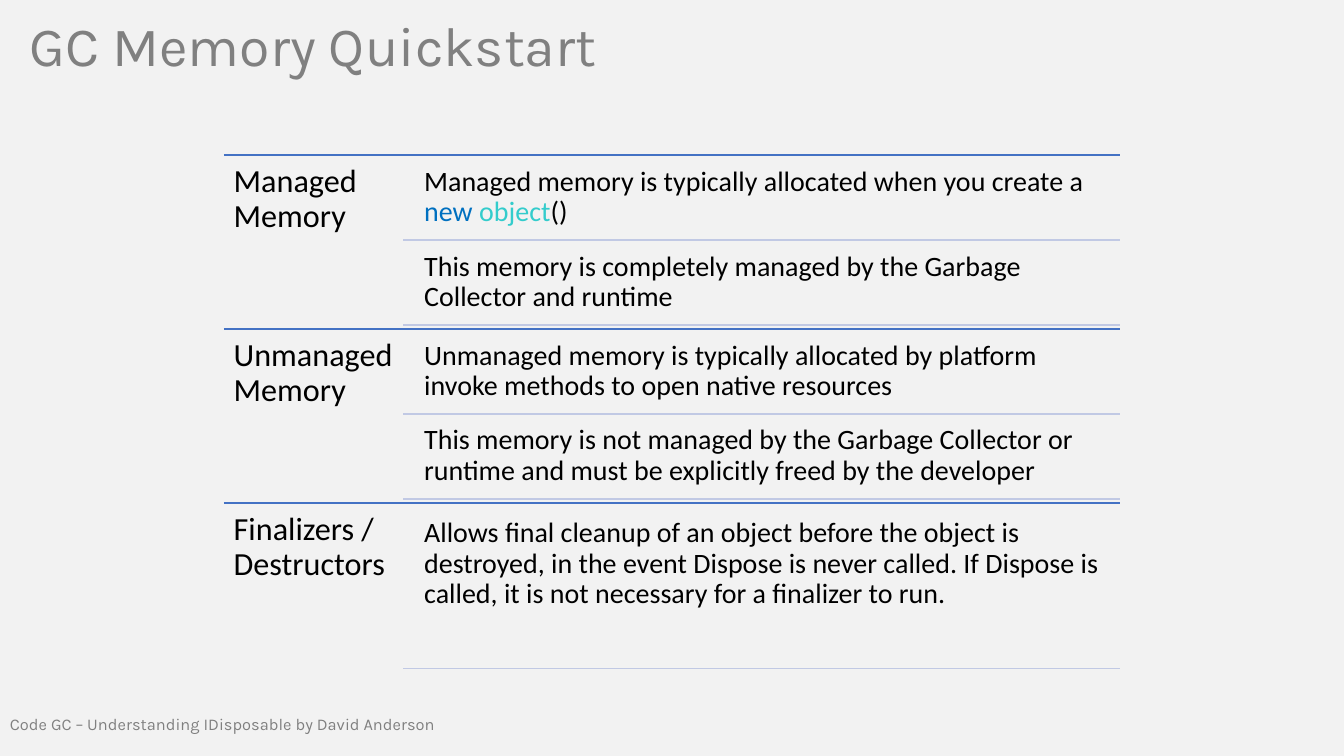
"""Build the garbage collector memory slide."""
from dataclasses import dataclass

from lxml import etree
from pptx import Presentation
from pptx.dml.color import RGBColor
from pptx.enum.shapes import MSO_CONNECTOR
from pptx.enum.text import MSO_ANCHOR, MSO_AUTO_SIZE, PP_ALIGN
from pptx.oxml.ns import qn
from pptx.slide import Slide
from pptx.text.text import TextFrame
from pptx.util import Cm, Pt

STRAIGHT = MSO_CONNECTOR.STRAIGHT
MIDDLE, TOP = MSO_ANCHOR.MIDDLE, MSO_ANCHOR.TOP
LEFT = PP_ALIGN.LEFT
FIXED = MSO_AUTO_SIZE.NONE

COLORS = {
    "back": "F2F2F2",
    "gray": "808080",
    "text": "000000",
    "rule": "4472C4",
    "thin": "C1C9E4",
    "key": "0070C0",
    "type": "33CCCC",
}
START, SPLIT, END = 5.64, 10.16, 28.22
INDENT = 10.49
FIRST, PITCH = 3.91, 4.38
GAP = 0.2


@dataclass
class Span:
    """A piece of text in one colour."""
    text: str
    color: str = "text"


@dataclass
class Style:
    """The look of a text frame."""
    font: str
    size: float
    color: str
    inset: float
    anchor: MSO_ANCHOR = TOP


@dataclass
class Section:
    """A heading with its rows of spans."""
    head: str
    rows: list[list[Span]]


TITLE = Style("Karla", 39.6, "gray", 0.25, MIDDLE)
FOOT = Style("Karla", 11.7, "gray", 0.25, MIDDLE)
HEAD = Style("Calibri", 23, "text", 0.25)
BODY = Style("Calibri", 20, "text", 0.2)

SECTIONS = [
    Section("Managed Memory", [
        [Span("Managed memory is typically allocated when you create a "),
         Span("new ", "key"), Span("object", "type"), Span("()")],
        [Span("This memory is completely managed by the Garbage Collector "
              "and runtime")],
    ]),
    Section("Unmanaged Memory", [
        [Span("Unmanaged memory is typically allocated by platform invoke "
              "methods to open native resources")],
        [Span("This memory is not managed by the Garbage Collector or "
              "runtime and must be explicitly freed by the developer")],
    ]),
    Section("Finalizers / Destructors", [
        [Span("Allows final cleanup of an object before the object is "
              "destroyed, in the event Dispose is never called. If Dispose "
              "is called, it is not necessary for a finalizer to run.")],
    ]),
]


def paint(name: str) -> RGBColor:
    """Return a named colour."""
    return RGBColor.from_string(COLORS[name])


def write(frame: TextFrame, spans: list[Span], style: Style) -> None:
    """Fill a frame with one styled paragraph."""
    frame.word_wrap = True
    frame.auto_size = FIXED
    frame.vertical_anchor = style.anchor
    frame.margin_left = frame.margin_right = Cm(style.inset)
    frame.margin_top = frame.margin_bottom = Cm(style.inset)
    para = frame.paragraphs[0]
    para.alignment = LEFT
    para.line_spacing = 0.9
    para.font.name = style.font
    para.font.size = Pt(style.size)
    para.font.color.rgb = paint(style.color)
    for span in spans:
        run = para.add_run()
        run.text = span.text
        if span.color != style.color:
            run.font.color.rgb = paint(span.color)


def label(slide: Slide, left: float, top: float, width: float,
          height: float, spans: list[Span], style: Style) -> None:
    """Add a text box, measured in centimetres."""
    box = slide.shapes.add_textbox(Cm(left), Cm(top), Cm(width), Cm(height))
    write(box.text_frame, spans, style)


def rule(slide: Slide, left: float, top: float, color: str) -> None:
    """Add a level line that ends at the right edge."""
    line = slide.shapes.add_connector(
        STRAIGHT, Cm(left), Cm(top), Cm(END), Cm(top))
    line.line.color.rgb = paint(color)
    line.line.width = Pt(1)
    etree.SubElement(line._element.spPr, qn("a:effectLst"))


def draw(slide: Slide, part: Section, top: float) -> None:
    """Draw a section, sharing its height among its rows."""
    rule(slide, START, top, "rule")
    label(slide, START, top, SPLIT - START, PITCH,
          [Span(part.head, HEAD.color)], HEAD)
    count = len(part.rows)
    gap = GAP / count
    height = (PITCH - (count + 1) * gap) / count
    for i, spans in enumerate(part.rows):
        edge = top + gap + i * (height + gap)
        label(slide, INDENT, edge, END - INDENT, height, spans, BODY)
        rule(slide, SPLIT, edge + height, "thin")


def main() -> None:
    """Build and save the deck."""
    deck = Presentation()
    deck.slide_width, deck.slide_height = Cm(33.87), Cm(19.05)
    slide = deck.slides.add_slide(deck.slide_layouts[5])
    fill = slide.background.fill
    fill.solid()
    fill.fore_color.rgb = paint("back")

    title = slide.shapes.title
    title.left, title.top = Cm(0.5), Cm(0.45)
    title.width, title.height = Cm(33), Cm(1.55)
    write(title.text_frame, [Span("GC Memory Quickstart", "gray")], TITLE)

    for i, part in enumerate(SECTIONS):
        draw(slide, part, FIRST + i * PITCH)

    label(slide, 0, 17.5, 33, 1.55,
          [Span("Code GC – Understanding IDisposable by David Anderson",
                "gray")], FOOT)
    deck.save("out.pptx")


main()
